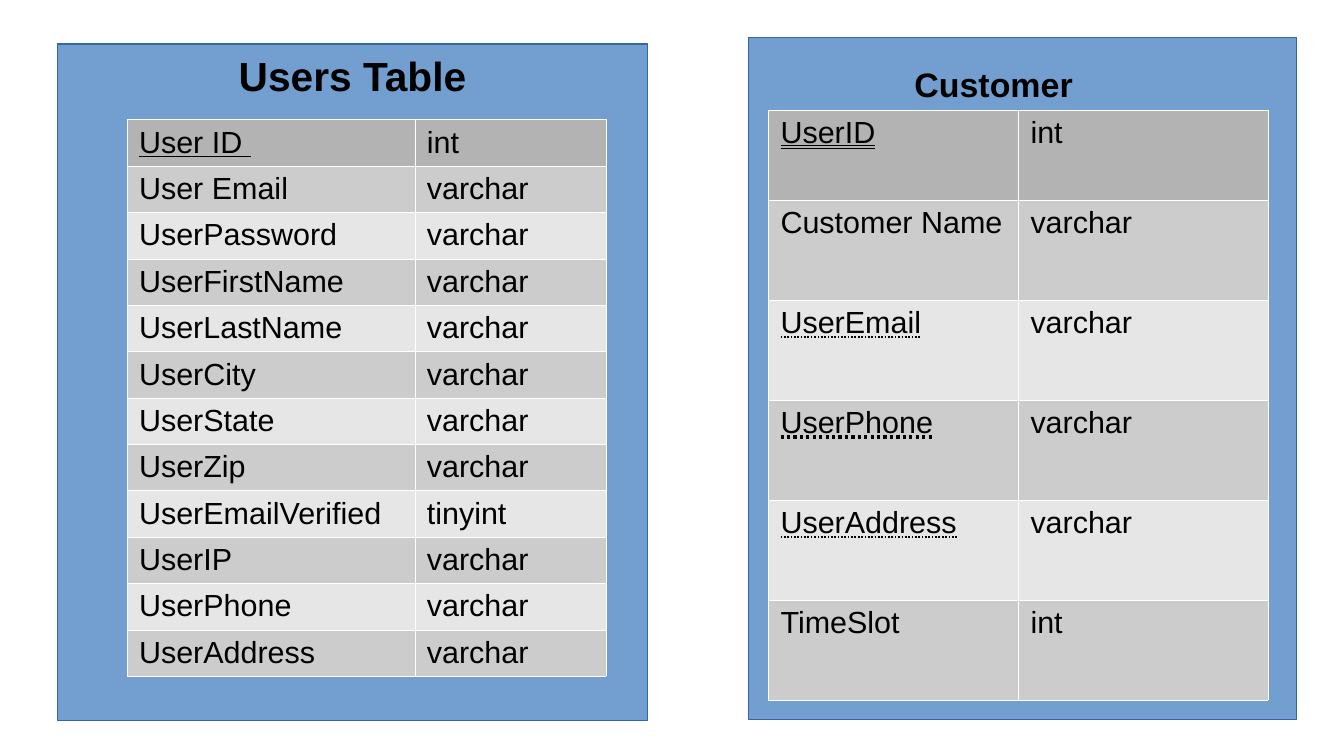
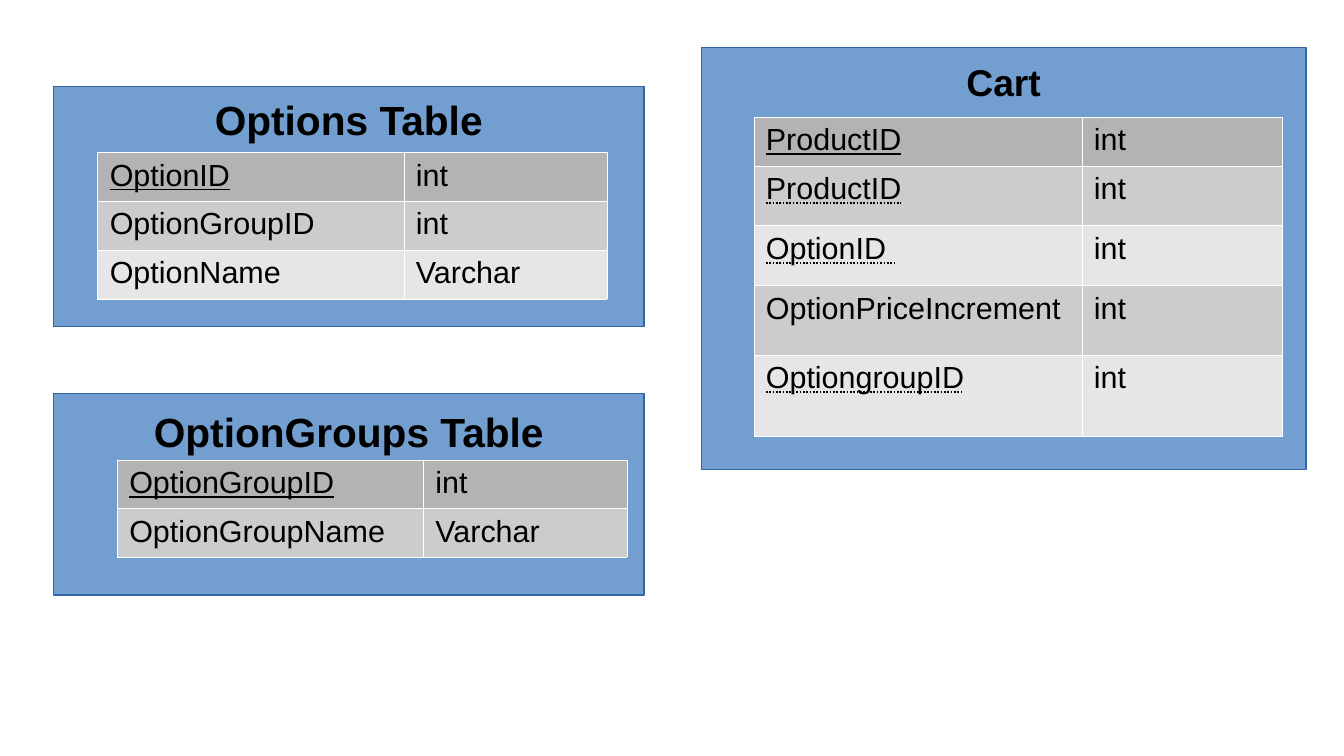
import pptx
import pptx.dml.color
import pptx.enum.shapes
import pptx.enum.text
import pptx.oxml
import pptx.oxml.ns
import pptx.util
from lxml import etree

Inches = pptx.util.Inches
Pt = pptx.util.Pt
LINE = pptx.enum.text.MSO_UNDERLINE
ALIGN = pptx.enum.text.PP_ALIGN
KEY, DOUBLE = LINE.SINGLE_LINE, LINE.DOUBLE_LINE
DOTS, HEAVY = LINE.DOTTED_LINE, LINE.DOTTED_HEAVY_LINE

# Shared look
PANEL, EDGE, INK, RULE = "729FCF", "3465A4", "000000", "FFFFFF"
HEAD, BANDS = "B3B3B3", ("CCCCCC", "E6E6E6")
BODY = {"name": "Arial", "size": Pt(18)}
TITLE = {"name": "Arial", "size": Pt(24), "bold": True}
ROW = 0.38


def color(text):
    return pptx.dml.color.RGBColor.from_string(text)


def write(frame, text, style, align=ALIGN.LEFT):
    par = frame.paragraphs[0]
    par.alignment = align
    run = par.add_run()
    run.text = text
    for name, value in style.items():
        setattr(run.font, name, value)
    run.font.color.rgb = color(INK)


def panel(slide, box, title="", top=0.05, size=24):
    """Blue panel with its title at the top."""
    shape = slide.shapes.add_shape(
        pptx.enum.shapes.MSO_SHAPE.RECTANGLE, *map(Inches, box))
    shape.shadow.inherit = False
    shape.fill.solid()
    shape.fill.fore_color.rgb = color(PANEL)
    shape.line.color.rgb = color(EDGE)
    shape.line.width = Pt(0)
    if title:
        frame = shape.text_frame
        frame.word_wrap = False
        frame.vertical_anchor = pptx.enum.text.MSO_ANCHOR.TOP
        frame.margin_top = Inches(top)
        write(frame, title, TITLE | {"size": Pt(size)}, ALIGN.CENTER)


def label(slide, box, text, size):
    frame = slide.shapes.add_textbox(*map(Inches, box)).text_frame
    frame.word_wrap = True
    write(frame, text, TITLE | {"size": Pt(size)})


def border(cell):
    props = cell._tc.get_or_add_tcPr()
    for side in ("lnL", "lnR", "lnT", "lnB"):
        line = etree.SubElement(props, pptx.oxml.ns.qn("a:" + side), w="762")
        fill = etree.SubElement(line, pptx.oxml.ns.qn("a:solidFill"))
        etree.SubElement(fill, pptx.oxml.ns.qn("a:srgbClr"), val=RULE)


def grid(slide, left, top, cols, fields, rows=None):
    """Field table; each field is (name, type) or (name, type, underline)."""
    rows = rows or [ROW] * len(fields)
    table = slide.shapes.add_table(
        len(rows), len(cols),
        *map(Inches, (left, top, sum(cols), sum(rows)))).table
    table.first_row = table.horz_banding = False
    for col, width in zip(table.columns, cols):
        col.width = Inches(width)
    for i, (name, kind, *mark) in enumerate(fields):
        table.rows[i].height = Inches(rows[i])
        shade = BANDS[(i - 1) % 2] if i else HEAD
        under = mark[0] if mark else False
        for j, (text, line) in enumerate([(name, under), (kind, False)]):
            cell = table.cell(i, j)
            border(cell)
            cell.fill.solid()
            cell.fill.fore_color.rgb = color(shade)
            write(cell.text_frame, text, BODY | {"underline": line})


def users(slide):
    # Users
    panel(slide, (0.47, 0.36, 4.84, 5.55), "Users Table", 0.06)
    grid(slide, 1.04, 0.98, (2.36, 1.57), [
        ("User ID ", "int", KEY),
        ("User Email", "varchar"),
        ("UserPassword", "varchar"),
        ("UserFirstName", "varchar"),
        ("UserLastName", "varchar"),
        ("UserCity", "varchar"),
        ("UserState", "varchar"),
        ("UserZip", "varchar"),
        ("UserEmailVerified", "tinyint"),
        ("UserIP", "varchar"),
        ("UserPhone", "varchar"),
        ("UserAddress", "varchar")])

    # Customer
    panel(slide, (6.14, 0.31, 4.49, 5.59))
    grid(slide, 6.3, 0.9, (2.05, 2.05), [
        ("UserID", "int", DOUBLE),
        ("Customer Name", "varchar"),
        ("UserEmail", "varchar", DOTS),
        ("UserPhone", "varchar", HEAVY),
        ("UserAddress", "varchar", DOTS),
        ("TimeSlot", "int")], [0.74] + [0.82] * 5)
    label(slide, (7.4, 0.47, 2.13, 0.63), "Customer", 20)


def options(slide):
    # Options
    cols = (2.51, 1.67)
    panel(slide, (0.44, 0.71, 4.84, 1.97), "Options Table", 0.07)
    grid(slide, 0.8, 1.25, cols, [
        ("OptionID", "int", KEY),
        ("OptionGroupID", "int"),
        ("OptionName", "Varchar")])

    # Cart
    panel(slide, (5.75, 0.39, 4.96, 3.46), "Cart", 0.1, 22)
    grid(slide, 6.18, 0.96, (2.69, 1.64), [
        ("ProductID", "int", KEY),
        ("ProductID", "int", DOTS),
        ("OptionID ", "int", DOTS),
        ("OptionPriceIncrement", "int"),
        ("OptiongroupID", "int", DOTS)], [ROW, 0.49, 0.49, 0.57, 0.67])

    # Option groups
    panel(slide, (0.44, 3.23, 4.84, 1.65), "OptionGroups Table", 0.11)
    grid(slide, 0.96, 3.77, cols, [
        ("OptionGroupID", "int", KEY),
        ("OptionGroupName", "Varchar")])


def main():
    deck = pptx.Presentation()
    deck.slide_width, deck.slide_height = Inches(11.02), Inches(6.2)
    for build in (users, options):
        build(deck.slides.add_slide(deck.slide_layouts[6]))
    deck.save("out.pptx")


if __name__ == "__main__":
    main()
